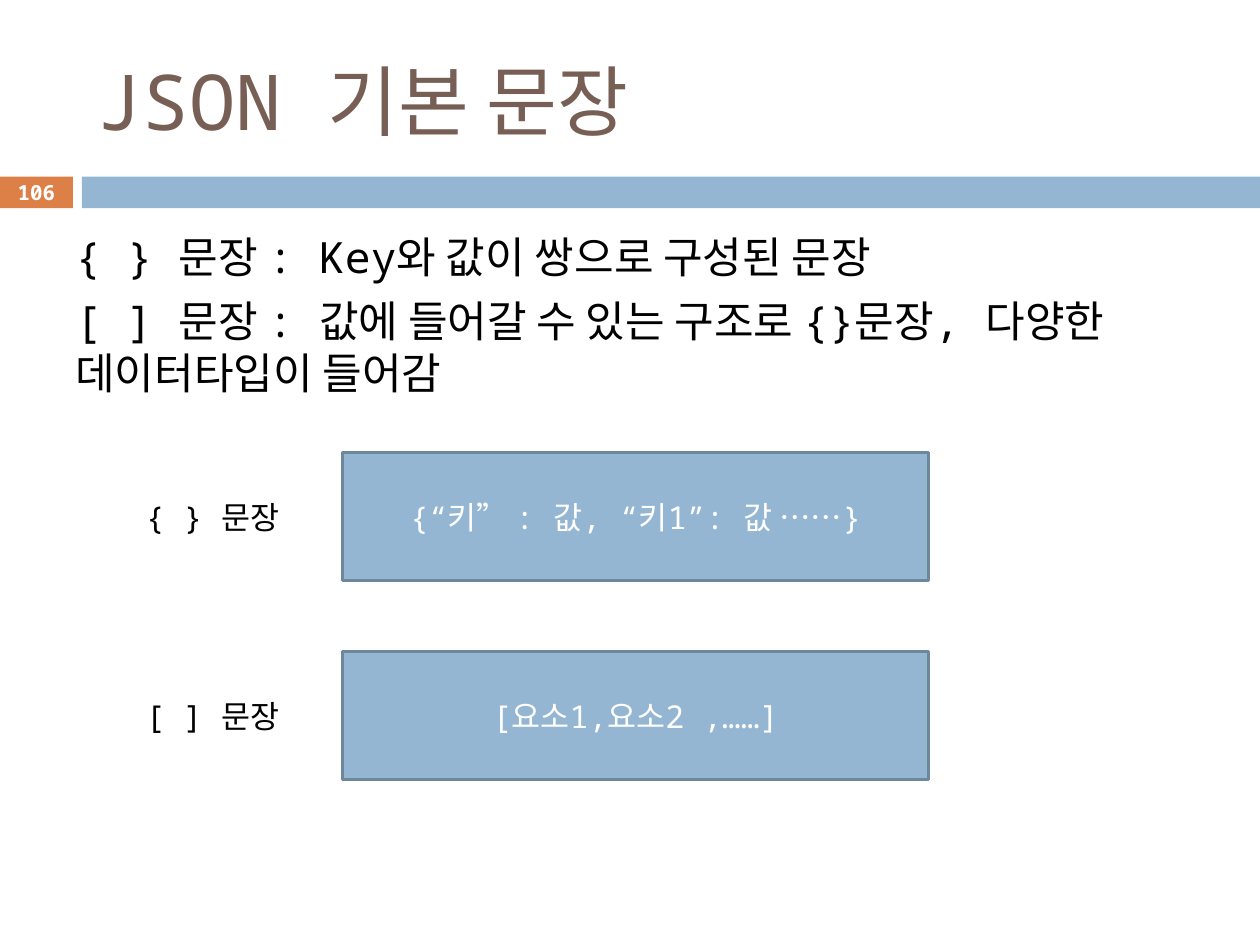
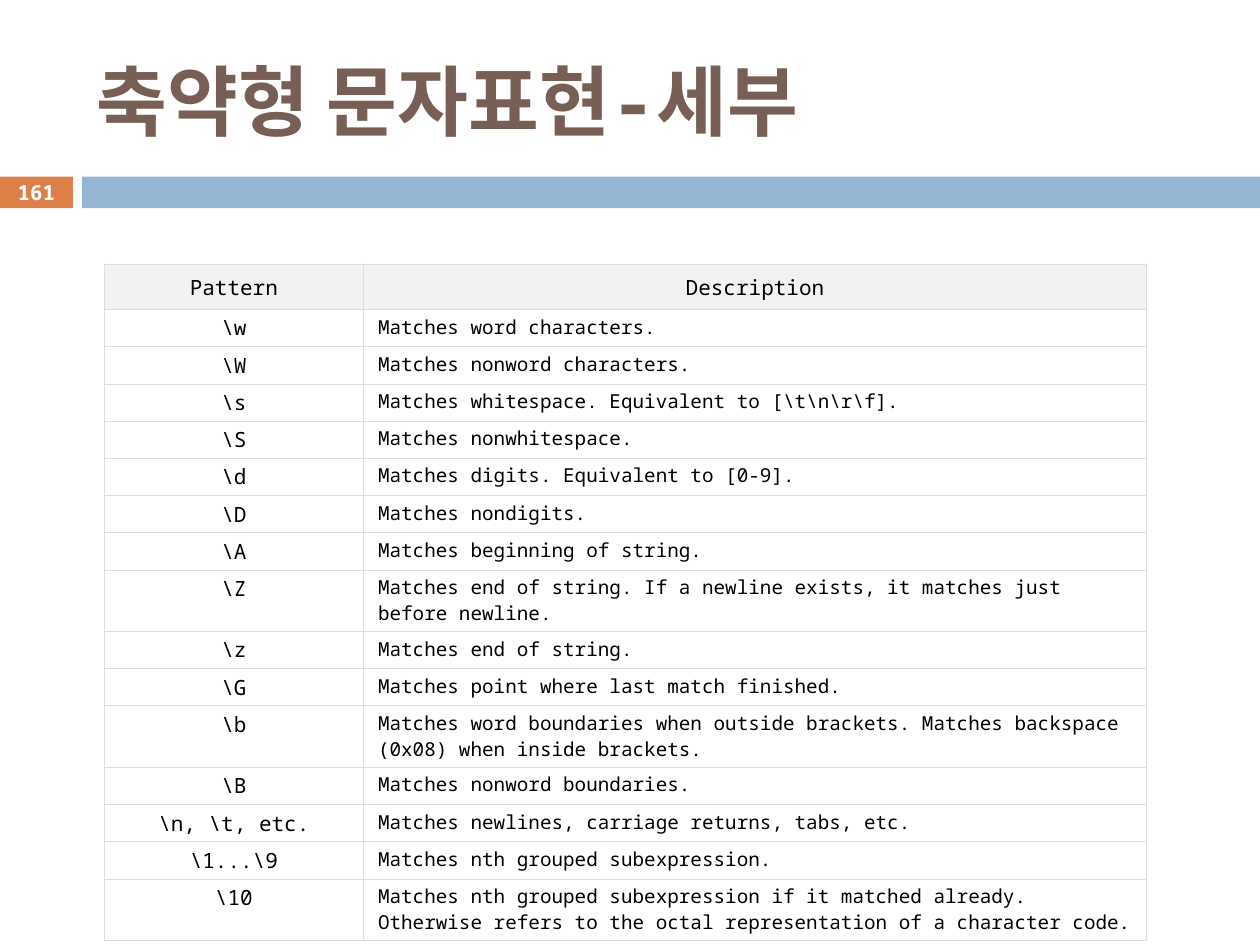
import lxml.etree
import pptx
import pptx.dml.color
import pptx.enum.shapes
import pptx.enum.text
import pptx.oxml.ns
import pptx.util

Cm = pptx.util.Cm
Pt = pptx.util.Pt
RGBColor = pptx.dml.color.RGBColor
ALIGN = pptx.enum.text.PP_ALIGN
ANCHOR = pptx.enum.text.MSO_ANCHOR

FONT_NAME = "Noto Sans Mono"
ORANGE = RGBColor(0xDD, 0x80, 0x47)
BLUE = RGBColor(0x94, 0xB6, 0xD2)
BLUE_EDGE = RGBColor(0x6D, 0x87, 0x9B)
BROWN = RGBColor(0x77, 0x5F, 0x55)
BLACK = RGBColor(0x00, 0x00, 0x00)
WHITE = RGBColor(0xFF, 0xFF, 0xFF)
HEADER_GRAY = RGBColor(0xF2, 0xF2, 0xF2)
BORDER_GRAY = RGBColor(0xDD, 0xDD, 0xDD)

TITLE = {"size": Pt(44), "color": BROWN}
BOLD_TITLE = {**TITLE, "bold": True}
BODY = {"size": Pt(24.6), "color": BLACK}
LABEL = {"size": Pt(18), "color": BLACK}
SYNTAX = {"size": Pt(18), "color": WHITE}
NUMBER = {"size": Pt(11.9), "color": WHITE, "bold": True}
PATTERN = {"size": Pt(12), "color": BLACK}
DESCRIPTION = {"size": Pt(11), "color": BLACK}

NO_MARGINS = dict.fromkeys(
    ("margin_left", "margin_right", "margin_top", "margin_bottom"), 0)

SENTENCES = [
    "{ } 문장 : Key와 값이 쌍으로 구성된 문장",
    "[ ] 문장 : 값에 들어갈 수 있는 구조로 {}문장, 다양한 데이터타입이 들어감",
]
SYNTAX_ROWS = [
    ("{ } 문장", 3.81, "{“키” : 값, “키1”: 값 ……}"),
    ("[ ] 문장", 3.2, "[요소1,요소2 ,……]"),
]
PATTERN_ROWS = [
    (r"\w", "Matches word characters."),
    (r"\W", "Matches nonword characters."),
    (r"\s", r"Matches whitespace. Equivalent to [\t\n\r\f]."),
    (r"\S", "Matches nonwhitespace."),
    (r"\d", "Matches digits. Equivalent to [0-9]."),
    (r"\D", "Matches nondigits."),
    (r"\A", "Matches beginning of string."),
    (r"\Z", "Matches end of string. If a newline exists, it matches just before newline."),
    (r"\z", "Matches end of string."),
    (r"\G", "Matches point where last match finished."),
    (r"\b", "Matches word boundaries when outside brackets. "
            "Matches backspace (0x08) when inside brackets."),
    (r"\B", "Matches nonword boundaries."),
    (r"\n, \t, etc.", "Matches newlines, carriage returns, tabs, etc."),
    (r"\1...\9", "Matches nth grouped subexpression."),
    (r"\10", "Matches nth grouped subexpression if it matched already. "
             "Otherwise refers to the octal representation of a character code."),
]
LONGEST_SINGLE_LINE = 64


def apply_values(target, values):
    for name, value in values.items():
        setattr(target, name, value)


def write_text(text_frame, lines, style, alignment=ALIGN.LEFT, gap=0):
    for index, line in enumerate(lines):
        paragraph = text_frame.add_paragraph() if index else text_frame.paragraphs[0]
        paragraph.alignment = alignment
        paragraph.space_before = Pt(gap if index else 0)
        run = paragraph.add_run()
        run.text = line
        font_values = {"name": FONT_NAME, **style}
        run.font.color.rgb = font_values.pop("color")
        apply_values(run.font, font_values)


def add_text(slide, area, lines, style, anchor=ANCHOR.TOP, gap=0):
    text_frame = slide.shapes.add_textbox(*map(Cm, area)).text_frame
    apply_values(text_frame, {"word_wrap": True, "vertical_anchor": anchor})
    write_text(text_frame, lines, style, gap=gap)


def add_rectangle(slide, area, fill_color, line_color=None):
    shape = slide.shapes.add_shape(
        pptx.enum.shapes.MSO_SHAPE.RECTANGLE, *map(Cm, area))
    shape.shadow.inherit = False
    shape.fill.solid()
    shape.fill.fore_color.rgb = fill_color
    if line_color is None:
        shape.line.fill.background()
    else:
        shape.line.color.rgb = line_color
        shape.line.width = Pt(1.5)
    shape.text_frame.vertical_anchor = ANCHOR.MIDDLE
    return shape


def add_titled_slide(presentation, title, number, title_style):
    slide = presentation.slides.add_slide(presentation.slide_layouts[6])
    badge = add_rectangle(slide, (0, 3.56, 1.47, 0.64), ORANGE)
    apply_values(badge.text_frame, NO_MARGINS)
    write_text(badge.text_frame, [number], NUMBER, ALIGN.CENTER)
    add_rectangle(slide, (1.65, 3.56, 23.75, 0.64), BLUE)
    add_text(slide, (1.7, 0.64, 22.66, 2.74), [title], title_style, ANCHOR.MIDDLE)
    return slide


def add_syntax_row(slide, top, label, label_width, syntax):
    box = add_rectangle(slide, (6.91, top, 11.81, 2.59), BLUE, BLUE_EDGE)
    write_text(box.text_frame, [syntax], SYNTAX, ALIGN.CENTER)
    add_text(slide, (2.69, top + 0.8, label_width, 1.02), [label], LABEL)


def add_cell_borders(cell):
    properties = cell._tc.get_or_add_tcPr()
    qualified = pptx.oxml.ns.qn
    for side in ("a:lnL", "a:lnR", "a:lnT", "a:lnB"):
        line = lxml.etree.SubElement(properties, qualified(side), w=str(Pt(0.6)))
        fill = lxml.etree.SubElement(line, qualified("a:solidFill"))
        lxml.etree.SubElement(fill, qualified("a:srgbClr"), val=str(BORDER_GRAY))


def fill_cell(cell, text, style, alignment, color, side_margin, edge_margin):
    apply_values(cell, {
        "margin_left": Cm(side_margin), "margin_right": Cm(side_margin),
        "margin_top": Cm(edge_margin), "margin_bottom": Cm(edge_margin),
    })
    add_cell_borders(cell)
    cell.fill.solid()
    cell.fill.fore_color.rgb = color
    write_text(cell.text_frame, [text], style, alignment)


def add_pattern_table(slide):
    heights = [0.91] + [
        1.24 if len(description) > LONGEST_SINGLE_LINE else 0.75
        for _, description in PATTERN_ROWS]
    table = slide.shapes.add_table(
        len(heights), 2, Cm(2.11), Cm(5.33), Cm(21.01), Cm(sum(heights))).table
    apply_values(table, {"first_row": False, "horz_banding": False})
    for column, width in zip(table.columns, (5.21, 15.8)):
        column.width = Cm(width)
    for row, height in zip(table.rows, heights):
        row.height = Cm(height)
    for column, heading in enumerate(("Pattern", "Description")):
        fill_cell(table.cell(0, column), heading, PATTERN, ALIGN.CENTER,
                  HEADER_GRAY, 0.17, 0.17)
    for row, (pattern, description) in enumerate(PATTERN_ROWS, start=1):
        fill_cell(table.cell(row, 0), pattern, PATTERN, ALIGN.CENTER, WHITE, 0.08, 0.08)
        fill_cell(table.cell(row, 1), description, DESCRIPTION, ALIGN.LEFT,
                  WHITE, 0.3, 0.08)


def build_json_slide(presentation):
    slide = add_titled_slide(presentation, "JSON 기본 문장", "106", TITLE)
    add_text(slide, (1.27, 4.52, 22.86, 3.81), SENTENCES, BODY, gap=7)
    for index, syntax_row in enumerate(SYNTAX_ROWS):
        add_syntax_row(slide, 9.12 + 4.01 * index, *syntax_row)


def build_pattern_slide(presentation):
    slide = add_titled_slide(presentation, "축약형 문자표현-세부", "161", BOLD_TITLE)
    add_pattern_table(slide)


def main():
    presentation = pptx.Presentation()
    apply_values(presentation, {"slide_width": Cm(25.4), "slide_height": Cm(19.05)})
    build_json_slide(presentation)
    build_pattern_slide(presentation)
    presentation.save("out.pptx")


if __name__ == "__main__":
    main()
